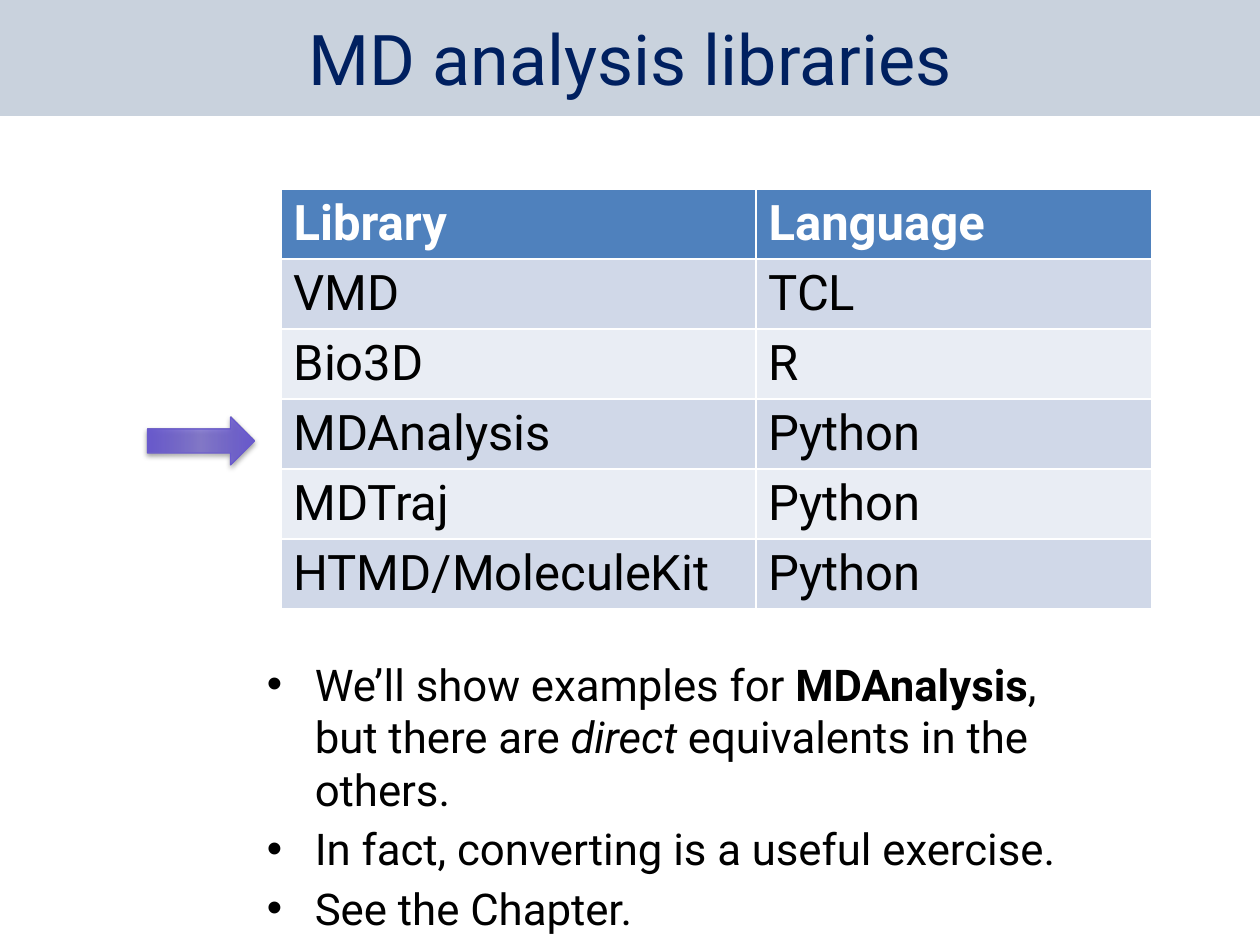
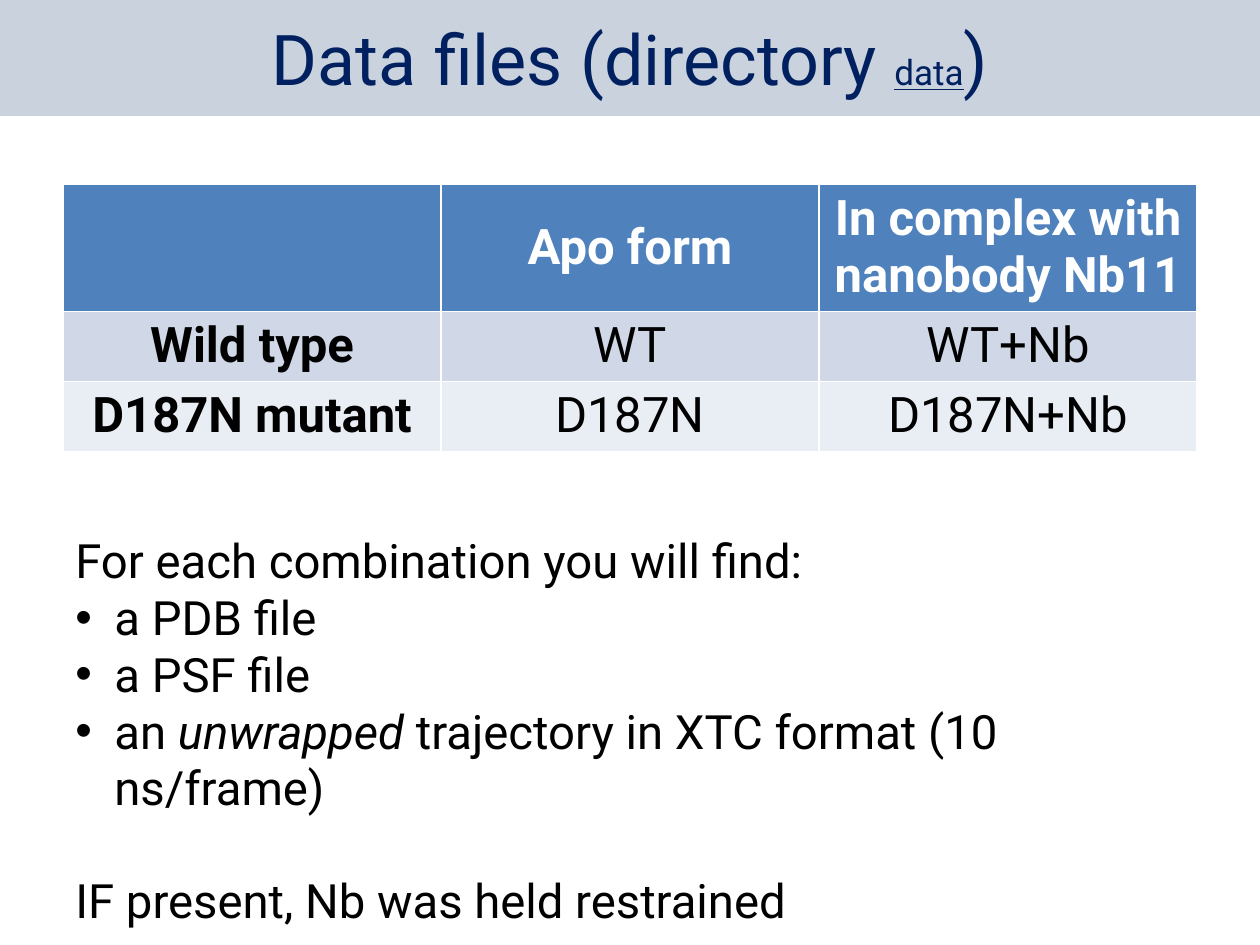
from lxml import etree
from pptx import Presentation
from pptx.dml.color import RGBColor
from pptx.enum.shapes import MSO_SHAPE
from pptx.enum.text import MSO_ANCHOR, MSO_AUTO_SIZE, PP_ALIGN
from pptx.oxml.ns import qn
from pptx.util import Inches, Pt

LEFT, CENTER = PP_ALIGN.LEFT, PP_ALIGN.CENTER
TOP, MIDDLE = MSO_ANCHOR.TOP, MSO_ANCHOR.MIDDLE
NO_FIT = MSO_AUTO_SIZE.NONE
RIGHT_ARROW = MSO_SHAPE.RIGHT_ARROW

FONT = "Roboto"
NAVY, BAND, BLACK, WHITE = "002060", "002F5F", "000000", "FFFFFF"
HEADER, STRIPES, VIOLET = "4F81BD", ("D0D8E8", "E9EDF4"), "695ACD"
BAND_OPACITY = 21
TITLE_SIZE, TABLE_SIZE = 40, 28
BOLD, ITALIC = {"bold": True}, {"italic": True}

SLIDES = [
    {
        "title": [("MD analysis libraries", {})],
        "table": {
            "rows": [
                ("Library", "Language"),
                ("VMD", "TCL"),
                ("Bio3D", "R"),
                ("MDAnalysis", "Python"),
                ("MDTraj", "Python"),
                ("HTMD/MoleculeKit", "Python"),
            ],
            "at": (2.23, 1.5),
            "widths": (3.77, 3.14),
            "heights": (0.55,) * 6,
            "align": LEFT,
            "bold_first_column": False,
        },
        "arrow": (1.17, 3.31, 0.85, 0.38),
        "body": {
            "at": (2.02, 5.17, 7.33, 1.9),
            "size": 25,
            "indent": 0.38,
            "paragraphs": [
                (True, {"space_after": Pt(4)}, [
                    ("We’ll show examples for ", {}), ("MDAnalysis", BOLD), (", ", {}),
                    ("\n", {}), ("but there are ", {}), ("direct", ITALIC),
                    (" equivalents in the others.", {})]),
                (True, {"space_after": Pt(4)},
                 [("In fact, converting is a useful exercise.", {})]),
                (True, {"space_after": Pt(4)}, [("See the Chapter.", {})]),
            ],
        },
    },
    {
        "title": [
            ("Data files (directory ", {}),
            ("data", {"size": Pt(20), "underline": True}),
            (")", {}),
        ],
        "table": {
            "rows": [
                ("", "Apo form", "In complex with nanobody Nb11"),
                ("Wild type", "WT", "WT+Nb"),
                ("D187N mutant", "D187N", "D187N+Nb"),
            ],
            "at": (0.5, 1.46),
            "widths": (3, 3, 3),
            "heights": (1.01, 0.55, 0.55),
            "align": CENTER,
            "bold_first_column": True,
        },
        "body": {
            "at": (0.5, 4.17, 9, 2.83),
            "size": 27,
            "indent": 0.31,
            "paragraphs": [
                (False, {}, [("For each combination you will find:", {})]),
                (True, {}, [("a PDB file", {})]),
                (True, {}, [("a PSF file", {})]),
                (True, {}, [("an ", {}), ("unwrapped", ITALIC),
                            (" trajectory in XTC format (10 ns/frame)", {})]),
                (False, {"space_before": Pt(32)},
                 [("IF present, Nb was held restrained", {})]),
            ],
        },
    },
]


def rgb(code):
    return RGBColor.from_string(code)


def inches(values):
    return [Inches(value) for value in values]


def assign(target, values):
    for name, value in values.items():
        setattr(target, name, value)


def add_node(parent, tag, **attributes):
    return etree.SubElement(parent, qn(tag), {key: str(value) for key, value in attributes.items()})


def add_color(parent, code, opacity):
    color = add_node(parent, "a:srgbClr", val=code)
    add_node(color, "a:alpha", val=opacity * 1000)


def write_spans(para, spans, size, color):
    for text, changes in spans:
        if text == "\n":
            para.add_line_break()
            continue
        span = para.add_run()
        span.text = text
        look = {"name": FONT, "size": Pt(size), "bold": False, "italic": False}
        assign(span.font, {**look, **changes})
        span.font.color.rgb = rgb(color)


def add_title(page, spans):
    title = page.shapes.title
    assign(title, dict(zip(("left", "top", "width", "height"), inches((0, 0, 10, 0.92)))))
    title.fill.solid()
    title.fill.fore_color.rgb = rgb(BAND)
    color = title.fill._xPr.find(".//" + qn("a:srgbClr"))
    add_node(color, "a:alpha", val=BAND_OPACITY * 1000)
    assign(title.text_frame, {"auto_size": NO_FIT, "vertical_anchor": MIDDLE, "word_wrap": False})
    para = title.text_frame.paragraphs[0]
    para.alignment = CENTER
    write_spans(para, spans, TITLE_SIZE, NAVY)


def add_grid(page, rows, at, widths, heights, align, bold_first_column):
    size = inches((sum(widths), sum(heights)))
    grid = page.shapes.add_table(len(rows), len(widths), *inches(at), *size).table
    for column, width in zip(grid.columns, widths):
        column.width = Inches(width)
    for row, height in zip(grid.rows, heights):
        row.height = Inches(height)
    for row_index, texts in enumerate(rows):
        is_header = row_index == 0
        for column_index, text in enumerate(texts):
            cell = grid.cell(row_index, column_index)
            cell.fill.solid()
            cell.fill.fore_color.rgb = rgb(HEADER if is_header else STRIPES[(row_index - 1) % 2])
            cell.vertical_anchor = MIDDLE if is_header else TOP
            para = cell.text_frame.paragraphs[0]
            para.alignment = align
            bold = is_header or (bold_first_column and column_index == 0)
            if text:
                write_spans(para, [(text, {"bold": bold})], TABLE_SIZE, WHITE if is_header else BLACK)


def add_arrow(page, at):
    arrow = page.shapes.add_shape(RIGHT_ARROW, *inches(at))
    arrow.line.color.rgb = rgb(VIOLET)
    arrow.line.width = Pt(0.75)
    arrow.fill.gradient()
    arrow.fill.gradient_angle = 0
    properties = arrow._element.spPr
    stops = properties.find(".//" + qn("a:gsLst"))
    for stop in list(stops):
        stops.remove(stop)
    for position, opacity in ((0, 100), (50, 68), (100, 100)):
        add_color(add_node(stops, "a:gs", pos=position * 1000), VIOLET, opacity)
    arrow.shadow.inherit = False
    shadow = add_node(properties.find(qn("a:effectLst")), "a:outerShdw", blurRad=Pt(3.1),
                      dist=Pt(1.6), dir=90 * 60000, rotWithShape=0)
    add_color(shadow, BLACK, 38)


def add_body(page, at, size, indent, paragraphs):
    frame = page.shapes.add_textbox(*inches(at)).text_frame
    frame.word_wrap = True
    for index, (bulleted, spacing, spans) in enumerate(paragraphs):
        para = frame.add_paragraph() if index else frame.paragraphs[0]
        assign(para, spacing)
        if bulleted:
            properties = para._p.get_or_add_pPr()
            properties.set("marL", str(Inches(indent)))
            properties.set("indent", str(-Inches(indent)))
            add_node(properties, "a:buFont", typeface="Arial")
            add_node(properties, "a:buChar", char="•")
        write_spans(para, spans, size, BLACK)


def main():
    deck = Presentation()
    assign(deck, {"slide_width": Inches(10), "slide_height": Inches(7.5)})
    title_only = deck.slide_layouts.get_by_name("Title Only")
    for content in SLIDES:
        page = deck.slides.add_slide(title_only)
        add_title(page, content["title"])
        add_grid(page, **content["table"])
        if "arrow" in content:
            add_arrow(page, content["arrow"])
        add_body(page, **content["body"])
    deck.save("out.pptx")


if __name__ == "__main__":
    main()
